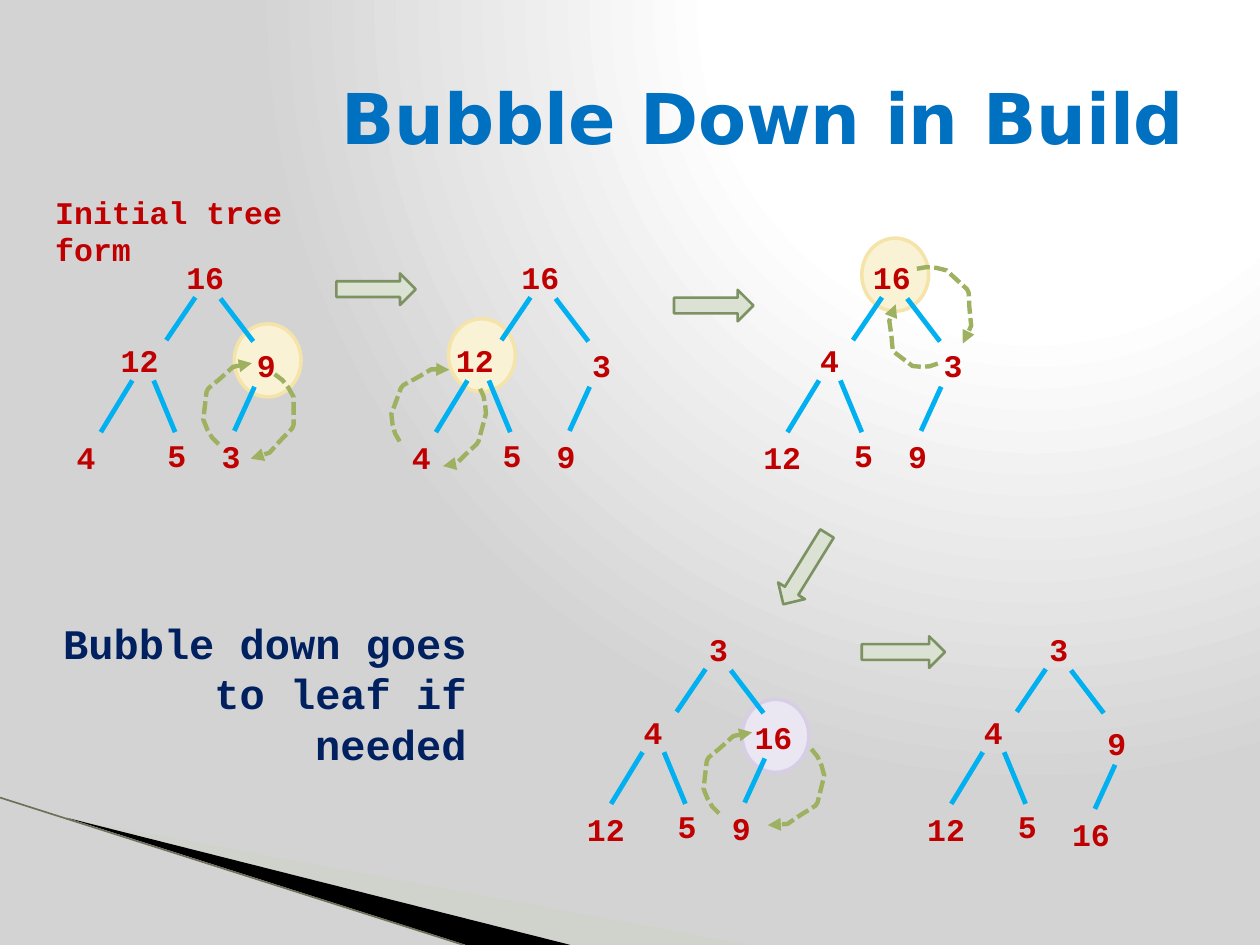
import pptx
import pptx.util
import pptx.dml.color
import pptx.enum.dml
import pptx.enum.shapes
import pptx.enum.text
import pptx.oxml
import pptx.oxml.ns

COLORS = {
    "title": "0070C0", "node": "C00000", "branch": "00B0F0", "note": "002060",
    "swap": "9EB160", "step": "DBE1D3", "step_line": "7D9263",
    "gold": "FAF2D4", "gold_line": "F5E4A9",
    "lilac": "EBE7F2", "lilac_line": "D7CEE6",
    "wedge": "000000", "sliver": "CBD4C0", "edge": "6E705A",
    "bg_light": "FFFFFF", "bg_dark": "D3D3D3",
}
MONO = "Courier New"
NS = pptx.oxml.ns.nsdecls("a")
SHAPE = pptx.enum.shapes.MSO_SHAPE
RIGHT = pptx.enum.text.PP_ALIGN.RIGHT
inch = pptx.util.Inches

# Tree geometry, measured from the top of the root's left branch
BRANCHES = [(0, 0, -0.23, 0.34), (0.2, 0.01, 0.46, 0.35),
            (-0.5, 0.66, -0.75, 1.07), (-0.33, 0.66, -0.16, 1.07)]
LAST_BRANCH = (0.47, 0.71, 0.31, 1.06)
NODE_SLOTS = [(-0.17, -0.36), (-0.69, 0.3), (0.29, 0.34),
              (-1.04, 1.07), (-0.32, 1.05), (0.11, 1.06)]

# Swap arc as shares of its box
ARC = [(0.56, 0), (0.74, 0.07), (0.88, 0.16), (1, 0.27), (1, 0.6), (0.97, 0.64),
       (0.88, 0.69), (0.76, 0.75), (0.65, 0.81), (0.44, 0.93), (0.26, 0.96),
       (0.2, 0.97), (0, 1)]


def rgb(name):
    return pptx.dml.color.RGBColor.from_string(COLORS[name])


def paint(sp, fill=None, line=None, width=1.0):
    sp.shadow.inherit = False
    if fill:
        sp.fill.solid()
        sp.fill.fore_color.rgb = rgb(fill)
    else:
        sp.fill.background()
    if line:
        sp.line.color.rgb = rgb(line)
        sp.line.width = pptx.util.Pt(width)
    else:
        sp.line.fill.background()


def add_line(s, x1, y1, x2, y2, color, width):
    c = s.shapes.add_connector(pptx.enum.shapes.MSO_CONNECTOR.STRAIGHT,
                               inch(x1), inch(y1), inch(x2), inch(y2))
    c.line.color.rgb = rgb(color)
    c.line.width = pptx.util.Pt(width)
    c._element.spPr.append(pptx.oxml.parse_xml(f"<a:effectLst {NS}/>"))


def style(p, size, color, font=MONO, align=None):
    p.font.size = pptx.util.Pt(size)
    p.font.name = font
    p.font.bold = True
    p.font.color.rgb = rgb(color)
    p.alignment = align


def add_text(s, box, text, size, color, align=None):
    tf = s.shapes.add_textbox(*map(inch, box)).text_frame
    tf.word_wrap = True
    p = tf.paragraphs[0]
    p.text = text
    style(p, size, color, align=align)


def add_outline(s, points, close=True):
    points = [(inch(x), inch(y)) for x, y in points]
    fb = s.shapes.build_freeform(*points[0])
    fb.add_line_segments(points[1:], close=close)
    return fb.convert_to_shape()


def draw_background(s):
    fill = s.background.fill
    fill.solid()
    stops = "".join(
        f'<a:gs pos="{pos}000"><a:srgbClr val="{COLORS[name]}"/></a:gs>'
        for pos, name in [(0, "bg_light"), (40, "bg_light"), (100, "bg_dark")])
    grad = pptx.oxml.parse_xml(
        f'<a:gradFill {NS} rotWithShape="1"><a:gsLst>{stops}</a:gsLst>'
        '<a:path path="circle"><a:fillToRect l="65000" b="98000"/></a:path></a:gradFill>')
    bg_pr = s.background._cSld.bg.bgPr
    bg_pr.replace(bg_pr.find(pptx.oxml.ns.qn("a:solidFill")), grad)


def draw_corner(s):
    sliver = add_outline(s, [(0.55, 6.5), (5.95, 7.5), (4.56, 7.5)])
    paint(sliver, "sliver")
    clr = sliver._element.spPr.find(".//" + pptx.oxml.ns.qn("a:srgbClr"))
    clr.append(pptx.oxml.parse_xml(f'<a:alpha {NS} val="40000"/>'))
    paint(add_outline(s, [(0.53, 6.49), (4.53, 7.5), (3.7, 7.5)]), "wedge")
    add_line(s, 0, 6.33, 3.68, 7.5, "edge", 0.95)


def draw_title(s, box, text):
    sp = s.shapes.title
    sp.left, sp.top, sp.width, sp.height = map(inch, box)
    tf = sp.text_frame
    tf.text = text
    tf.vertical_anchor = pptx.enum.text.MSO_ANCHOR.MIDDLE
    style(tf.paragraphs[0], 40, "title", "DejaVu Sans", RIGHT)


def draw_highlight(s, x, y, color):
    sp = s.shapes.add_shape(SHAPE.OVAL, inch(x), inch(y), inch(0.53), inch(0.58))
    paint(sp, color, color + "_line", 2)


def draw_tree(s, x, y, values, shift=0, drop=0):
    """Heap in level order; shift and drop move the right-hand subtree."""
    for i, (value, (dx, dy)) in enumerate(zip(values, NODE_SLOTS)):
        if i < 3 and len(value) == 1:  # keep inner nodes centred on their branches
            dx += 0.1
        if i in (2, 5):
            dy += drop
        width = 0.55 if len(value) > 1 else 0.42
        add_text(s, (x + dx, y + dy, width, 0.4), value, 18, "node")
    x1, y1, x2, y2 = LAST_BRANCH
    last = (x1 + shift, y1 + drop, x2 + shift, y2 + drop)
    for x1, y1, x2, y2 in BRANCHES + [last]:
        add_line(s, x + x1, y + y1, x + x2, y + y2, "branch", 2.75)


def draw_step(s, x, y, width, angle=0):
    sp = s.shapes.add_shape(SHAPE.RIGHT_ARROW, inch(x), inch(y), inch(width), inch(0.25))
    sp.rotation = angle
    paint(sp, "step", "step_line", 1.5)


def draw_swap(s, x, y, width, height, angle):
    sp = add_outline(s, [(x + u * width, y + v * height) for u, v in ARC], close=False)
    sp.rotation = angle
    paint(sp, line="swap", width=2.5)
    sp.line.dash_style = pptx.enum.dml.MSO_LINE.SQUARE_DOT
    sp.line._get_or_add_ln().append(
        pptx.oxml.parse_xml(f'<a:tailEnd {NS} type="triangle"/>'))


def main():
    prs = pptx.Presentation()
    prs.slide_width, prs.slide_height = inch(10), inch(7.5)
    s = prs.slides.add_slide(prs.slide_layouts[5])

    draw_background(s)
    draw_corner(s)
    draw_title(s, (0.5, 0.3, 9, 1.25), "Bubble Down in Build")

    # Nodes being bubbled down
    for x, y, color in [(5.89, 5.55, "lilac"), (6.84, 1.89, "gold"),
                        (3.56, 2.53, "gold"), (1.86, 2.57, "gold")]:
        draw_highlight(s, x, y, color)

    # Heap after each step
    draw_tree(s, 1.55, 2.36, ["16", "12", "9", "4", "5", "3"])
    draw_tree(s, 4.21, 2.36, ["16", "12", "3", "4", "5", "9"])
    draw_tree(s, 7.0, 2.36, ["16", "4", "3", "12", "5", "9"])
    draw_tree(s, 5.6, 5.31, ["3", "4", "16", "12", "5", "9"])
    draw_tree(s, 8.3, 5.31, ["3", "4", "9", "12", "5", "16"], shift=0.08, drop=0.05)

    # Captions
    add_text(s, (0.34, 1.48, 2.17, 0.4), "Initial tree form", 18, "node")
    add_text(s, (0.28, 4.85, 3.52, 0.91), "Bubble down goes to leaf if needed",
             24, "note", RIGHT)

    # Arrows from one heap to the next
    for step in [(2.67, 2.17, 0.63), (5.35, 2.3, 0.63),
                 (6.06, 4.39, 0.66, 121.7), (6.84, 5.05, 0.66)]:
        draw_step(s, *step)

    # Parent and child swaps
    for swap in [(1.99, 2.97, 0.34, 0.67, 0), (1.63, 2.86, 0.33, 0.67, 186.8),
                 (3.6, 3.07, 0.22, 0.67, 15.2), (3.15, 2.86, 0.31, 0.67, 200.2),
                 (7.34, 2.04, 0.34, 0.67, 312.6), (7.08, 2.43, 0.31, 0.55, 127.2),
                 (6.17, 5.93, 0.34, 0.67, 14), (5.6, 5.79, 0.33, 0.67, 186.8)]:
        draw_swap(s, *swap)

    prs.save("out.pptx")


if __name__ == "__main__":
    main()
